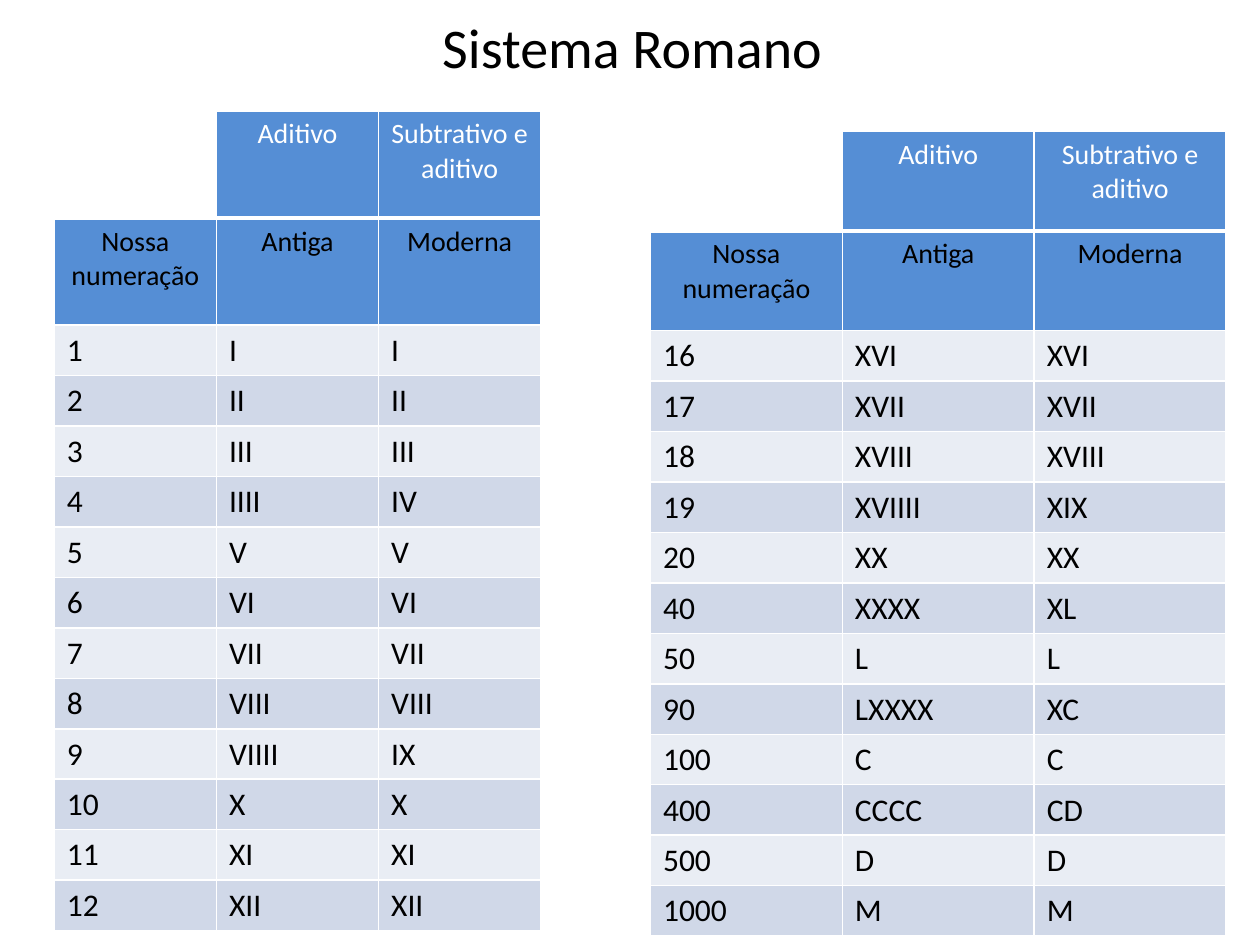
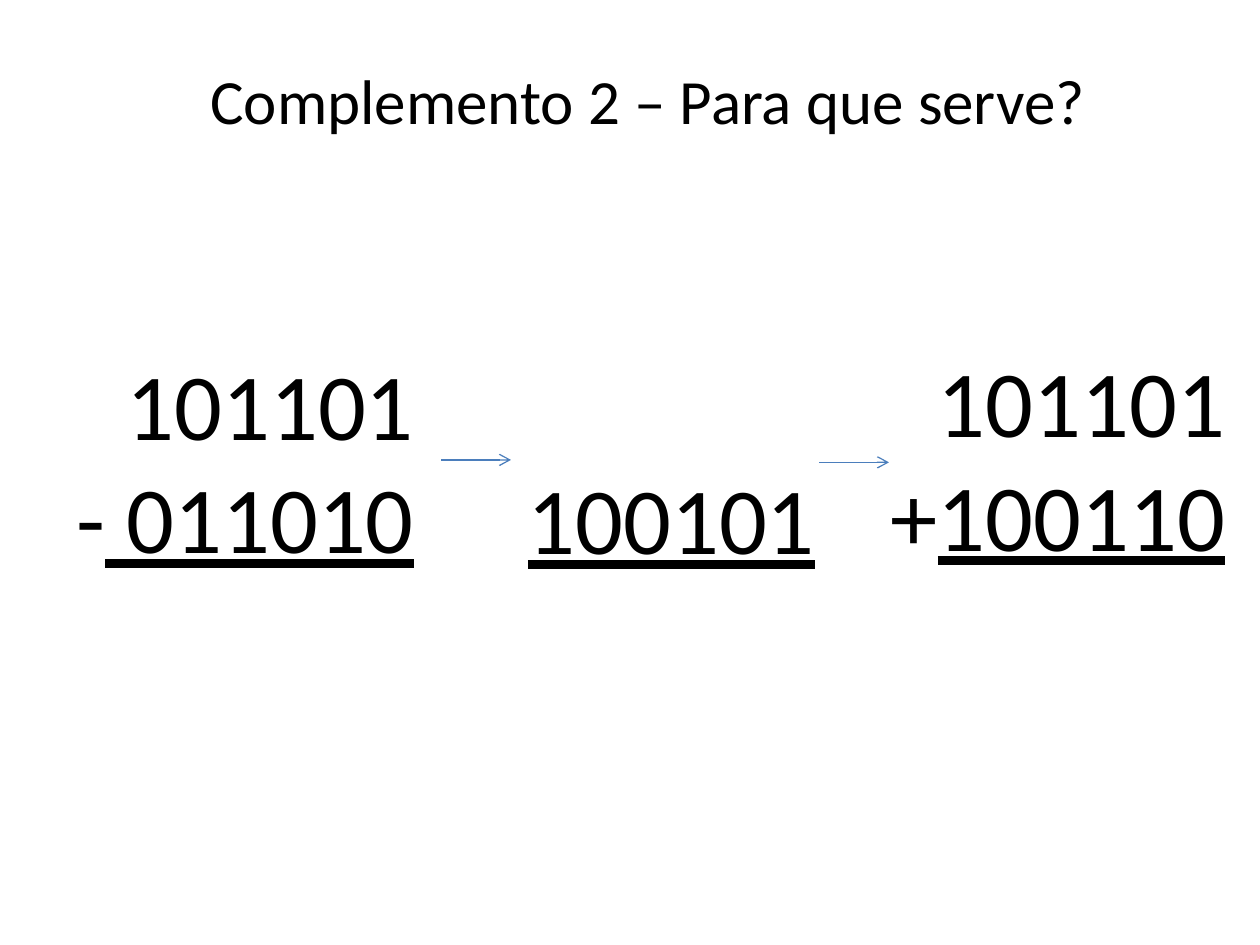
"""Builds two slides on Roman numerals and on two's complement."""
from lxml import etree
from pptx import Presentation
from pptx import util as u
from pptx.dml.color import RGBColor
from pptx.enum import shapes, text
from pptx.oxml import ns

FONT = "Calibri"
BLACK, WHITE = "000000", "FFFFFF"
HEADER_BLUE, ARROW_BLUE = "558ED5", "4B7EBC"
BANDS = ("E9EDF4", "D0D8E8")
TITLE_ONLY = 5
ROW_HEIGHT = 28.8
LINE_HEIGHT = 66

HEADERS = [
    ("", "Aditivo", "Subtrativo e aditivo"),
    ("Nossa numeração", "Antiga", "Moderna"),
]
ONE_TO_TWELVE = [
    ("1", "I", "I"),
    ("2", "II", "II"),
    ("3", "III", "III"),
    ("4", "IIII", "IV"),
    ("5", "V", "V"),
    ("6", "VI", "VI"),
    ("7", "VII", "VII"),
    ("8", "VIII", "VIII"),
    ("9", "VIIII", "IX"),
    ("10", "X", "X"),
    ("11", "XI", "XI"),
    ("12", "XII", "XII"),
]
SIXTEEN_TO_THOUSAND = [
    ("16", "XVI", "XVI"),
    ("17", "XVII", "XVII"),
    ("18", "XVIII", "XVIII"),
    ("19", "XVIIII", "XIX"),
    ("20", "XX", "XX"),
    ("40", "XXXX", "XL"),
    ("50", "L", "L"),
    ("90", "LXXXX", "XC"),
    ("100", "C", "C"),
    ("400", "CCCC", "CD"),
    ("500", "D", "D"),
    ("1000", "M", "M"),
]


def colour(value):
    """Turn a hex string into a colour."""
    return RGBColor.from_string(value)


def style(span, size, ink=BLACK):
    """Format one run."""
    span.font.name = FONT
    span.font.size = u.Pt(size)
    span.font.color.rgb = colour(ink)


def add_page(deck, title, left, top, width, height, size):
    """Add a slide with its title at the given place."""
    page = deck.slides.add_slide(deck.slide_layouts[TITLE_ONLY])
    box = page.shapes.title
    box.left, box.top = u.Pt(left), u.Pt(top)
    box.width, box.height = u.Pt(width), u.Pt(height)
    frame = box.text_frame
    frame.text = title
    frame.word_wrap = False
    frame.auto_size = text.MSO_AUTO_SIZE.SHAPE_TO_FIT_TEXT
    frame.vertical_anchor = text.MSO_ANCHOR.TOP
    para = frame.paragraphs[0]
    para.alignment = text.PP_ALIGN.LEFT
    style(para.runs[0], size)
    return page


def add_borders(cell, bottom):
    """Draw white lines round a cell, with its own bottom width."""
    properties = cell._tc.get_or_add_tcPr()
    for side, width in (("L", 1), ("R", 1), ("T", 1), ("B", bottom)):
        line = etree.SubElement(properties, ns.qn(f"a:ln{side}"), w=str(u.Pt(width)))
        fill = etree.SubElement(line, ns.qn("a:solidFill"))
        etree.SubElement(fill, ns.qn("a:srgbClr"), val=WHITE)


def fill_cell(cell, words, row):
    """Write and format a cell by the row it stands in."""
    is_header = row < len(HEADERS)
    add_borders(cell, bottom=3 if row == 0 else 1)
    if not words:
        cell.fill.background()
        return
    cell.fill.solid()
    cell.fill.fore_color.rgb = colour(HEADER_BLUE if is_header else BANDS[row % 2])
    cell.text = words
    para = cell.text_frame.paragraphs[0]
    para.alignment = text.PP_ALIGN.CENTER if is_header else text.PP_ALIGN.LEFT
    style(para.runs[0], 16 if is_header else 18, WHITE if row == 0 else BLACK)


def add_numeral_table(page, left, top, width, header_height, numerals):
    """Add a table that compares the old and the modern numerals."""
    rows = HEADERS + numerals
    heights = [header_height] * len(HEADERS) + [ROW_HEIGHT] * len(numerals)
    table = page.shapes.add_table(
        len(rows), 3, u.Pt(left), u.Pt(top), u.Pt(width), u.Pt(sum(heights))
    ).table
    table.first_row = table.horz_banding = False
    for row, (values, height) in enumerate(zip(rows, heights)):
        table.rows[row].height = u.Pt(height)
        for column, words in enumerate(values):
            fill_cell(table.cell(row, column), words, row)


def add_sum(page, left, top, right_inset, lines, top_inset=3.6):
    """Add right-aligned lines, each a sign, a number and an underline flag."""
    box = page.shapes.add_textbox(u.Pt(left), u.Pt(top), u.Pt(227), u.Pt(269))
    frame = box.text_frame
    frame.word_wrap = True
    frame.vertical_anchor = text.MSO_ANCHOR.MIDDLE
    frame.margin_left, frame.margin_right = u.Pt(0), u.Pt(right_inset)
    frame.margin_top = u.Pt(top_inset)
    for index, (sign, number, underlined) in enumerate(lines):
        para = frame.add_paragraph() if index else frame.paragraphs[0]
        para.alignment = text.PP_ALIGN.RIGHT
        para.text = sign
        span = para.add_run()
        span.text = number
        for each in para.runs:
            style(each, 54)
        span.font.underline = underlined


def add_arrow(page, left, top, length):
    """Add a thin arrow that points right."""
    arrow = page.shapes.add_connector(
        shapes.MSO_CONNECTOR.STRAIGHT,
        u.Pt(left), u.Pt(top), u.Pt(left + length), u.Pt(top),
    )
    arrow.line.color.rgb = colour(ARROW_BLUE)
    arrow.line.width = u.Pt(0.75)
    etree.SubElement(arrow.line._get_or_add_ln(), ns.qn("a:tailEnd"), type="arrow")
    etree.SubElement(arrow._element.spPr, ns.qn("a:effectLst"))


def add_roman_page(deck):
    """Add the slide with the two tables of Roman numerals."""
    page = add_page(deck, "Sistema Romano", 245.5, 3.6, 234, 46, 32)
    add_numeral_table(page, 31, 63.4, 278, 61.2, ONE_TO_TWELVE)
    add_numeral_table(page, 371.7, 75, 329, 57, SIXTEEN_TO_THOUSAND)


def add_complement_page(deck):
    """Add the slide that turns a subtraction into an addition."""
    page = add_page(deck, "Complemento 2 – Para que serve?", 113, 31.7, 519, 51, 36)
    minuend = ("", "101101", False)
    add_sum(page, 36.7, 128, 27, [minuend, ("-", " 011010", True)])
    add_sum(page, 501.8, 126.5, 28.6, [minuend, ("+", "100110", True)])
    add_arrow(page, 252, 262.8, 40)
    add_sum(page, 257.8, 128, 19, [("", "100101", True)], LINE_HEIGHT + 3.6)
    add_arrow(page, 468, 264.2, 40)


def main():
    """Build and save the deck."""
    deck = Presentation()
    deck.slide_width, deck.slide_height = u.Pt(720), u.Pt(540)
    add_roman_page(deck)
    add_complement_page(deck)
    deck.save("out.pptx")


main()
